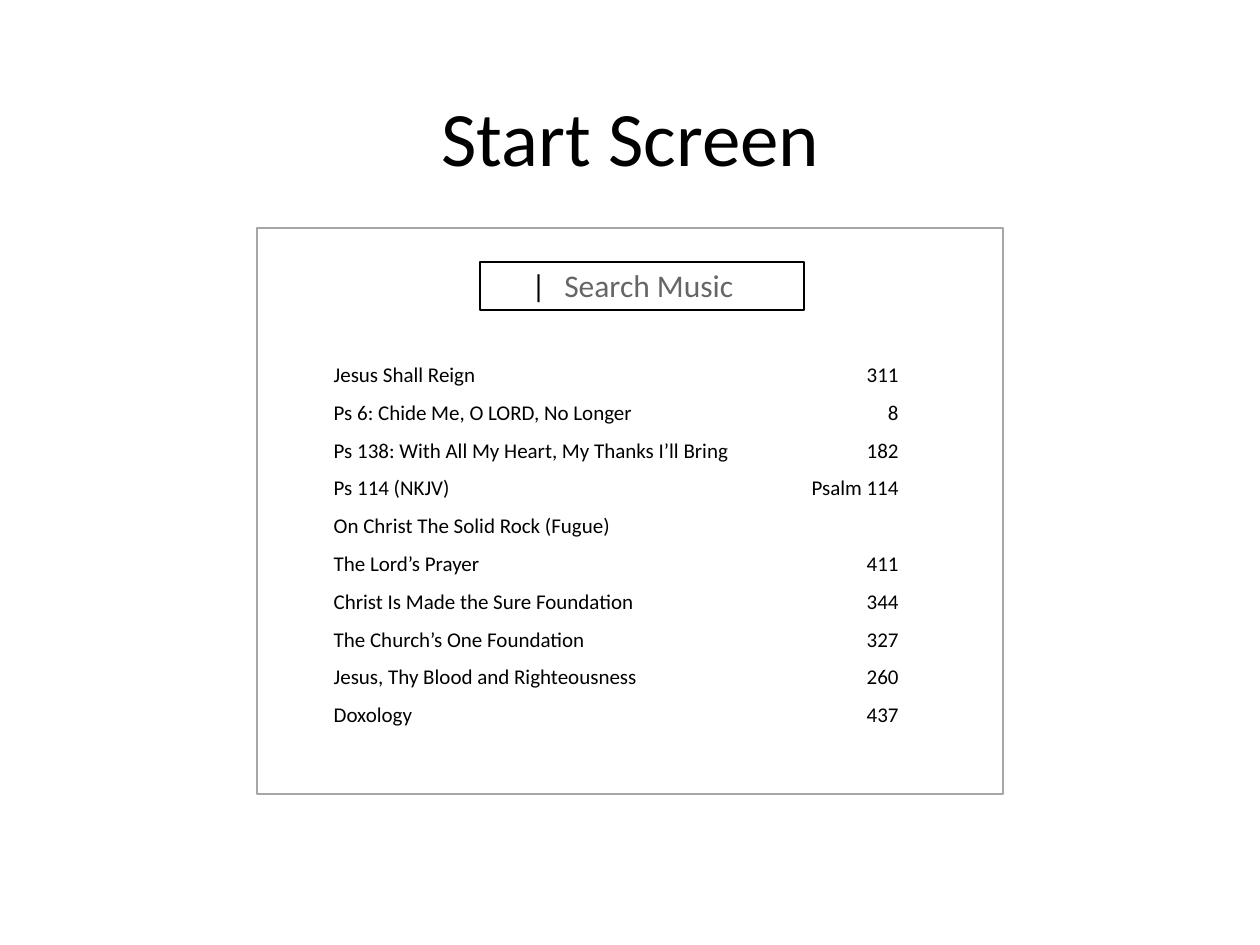
"""Build the start screen mockup of a music search app."""
from dataclasses import dataclass
from typing import Any, NamedTuple

import pptx
import pptx.dml.color
import pptx.enum.shapes
import pptx.enum.text
import pptx.oxml
import pptx.oxml.ns
import pptx.util

Align = pptx.enum.text.PP_ALIGN
Anchor = pptx.enum.text.MSO_ANCHOR
RGBColor = pptx.dml.color.RGBColor

BLACK = RGBColor(0x00, 0x00, 0x00)
FRAME_GREY = RGBColor(0xA6, 0xA6, 0xA6)

WIDTH, HEIGHT = pptx.util.Inches(10), pptx.util.Inches(7.5)
COLUMNS, ROWS = 100, 75
SONG_PITCH = 21.6


class Area(NamedTuple):
    """A rectangle in grid columns and rows."""

    left: float
    top: float
    width: float
    height: float

    def lengths(self) -> tuple[int, ...]:
        """Return the rectangle in slide units."""
        column, row = WIDTH / COLUMNS, HEIGHT / ROWS
        return (round(self.left * column), round(self.top * row),
                round(self.width * column), round(self.height * row))


class Song(NamedTuple):
    """A song title and its number in the book."""

    title: str
    number: str


@dataclass
class Outline:
    """An unfilled rectangle."""

    area: Area
    color: RGBColor


@dataclass
class Label:
    """A text box with one format for all its lines."""

    area: Area
    lines: list[str]
    size: float
    align: Any = Align.LEFT
    spacing: float = 1.0
    anchor: Any = Anchor.TOP
    opacity: int = 100


SONGS = [
    Song("Jesus Shall Reign", "311"),
    Song("Ps 6: Chide Me, O LORD, No Longer", "8"),
    Song("Ps 138: With All My Heart, My Thanks I’ll Bring", "182"),
    Song("Ps 114 (NKJV)", "Psalm 114"),
    Song("On Christ The Solid Rock (Fugue)", ""),
    Song("The Lord’s Prayer", "411"),
    Song("Christ Is Made the Sure Foundation", "344"),
    Song("The Church’s One Foundation", "327"),
    Song("Jesus, Thy Blood and Righteousness", "260"),
    Song("Doxology", "437"),
]

OUTLINES = [
    Outline(Area(20.4, 18.1, 59.2, 44.9), FRAME_GREY),
    Outline(Area(38.1, 20.8, 25.7, 3.8), BLACK),
]

LABELS = [
    Label(Area(23.8, 4, 52.5, 14.5), ["Start Screen"], 44, Align.CENTER, 0.9, Anchor.MIDDLE),
    Label(Area(39.2, 20.6, 24.6, 4), ["Search Music"], 18, Align.CENTER, opacity=60),
    Label(Area(41.2, 20.6, 2.4, 4), ["|"], 18),
    Label(Area(25.5, 27.2, 40.8, 31.3), [song.title for song in SONGS], 12, spacing=1.5),
    Label(Area(62.1, 27.2, 10.2, 31), [song.number for song in SONGS], 12, Align.RIGHT, 1.5),
]


def apply(target: Any, values: dict[str, Any]) -> None:
    """Set each named attribute on the target."""
    for name, value in values.items():
        setattr(target, name, value)


def draw_outline(slide: Any, outline: Outline) -> None:
    """Draw an unfilled rectangle."""
    shape = slide.shapes.add_shape(
        pptx.enum.shapes.MSO_SHAPE.RECTANGLE, *outline.area.lengths())
    shape.shadow.inherit = False
    shape.fill.background()
    shape.line.color.rgb = outline.color
    shape.line.width = pptx.util.Pt(1)


def set_opacity(run: Any, percent: int) -> None:
    """Make the text colour of a run partly transparent."""
    color = run.font.fill._xPr.find(".//" + pptx.oxml.ns.qn("a:srgbClr"))
    alpha = pptx.oxml.parse_xml(
        f'<a:alpha {pptx.oxml.ns.nsdecls("a")} val="{percent * 1000}"/>')
    color.append(alpha)


def draw_label(slide: Any, label: Label) -> None:
    """Draw a text box, leaving a line's gap for each empty line."""
    frame = slide.shapes.add_textbox(*label.area.lengths()).text_frame
    apply(frame, {"word_wrap": True, "vertical_anchor": label.anchor})
    paragraph, gap = frame.paragraphs[0], 0.0
    for index, line in enumerate(label.lines):
        if not line:
            gap += SONG_PITCH
            continue
        if index:
            paragraph = frame.add_paragraph()
        apply(paragraph, {"alignment": label.align, "line_spacing": label.spacing})
        if gap:
            paragraph.space_before = pptx.util.Pt(gap)
        gap = 0.0
        run = paragraph.add_run()
        run.text = line
        apply(run.font, {"name": "Calibri", "size": pptx.util.Pt(label.size)})
        run.font.color.rgb = BLACK
        if label.opacity < 100:
            set_opacity(run, label.opacity)


def main() -> None:
    """Build and save the presentation."""
    presentation = pptx.Presentation()
    apply(presentation, {"slide_width": WIDTH, "slide_height": HEIGHT})
    slide = presentation.slides.add_slide(presentation.slide_layouts[6])
    for outline in OUTLINES:
        draw_outline(slide, outline)
    for label in LABELS:
        draw_label(slide, label)
    presentation.save("out.pptx")


if __name__ == "__main__":
    main()
